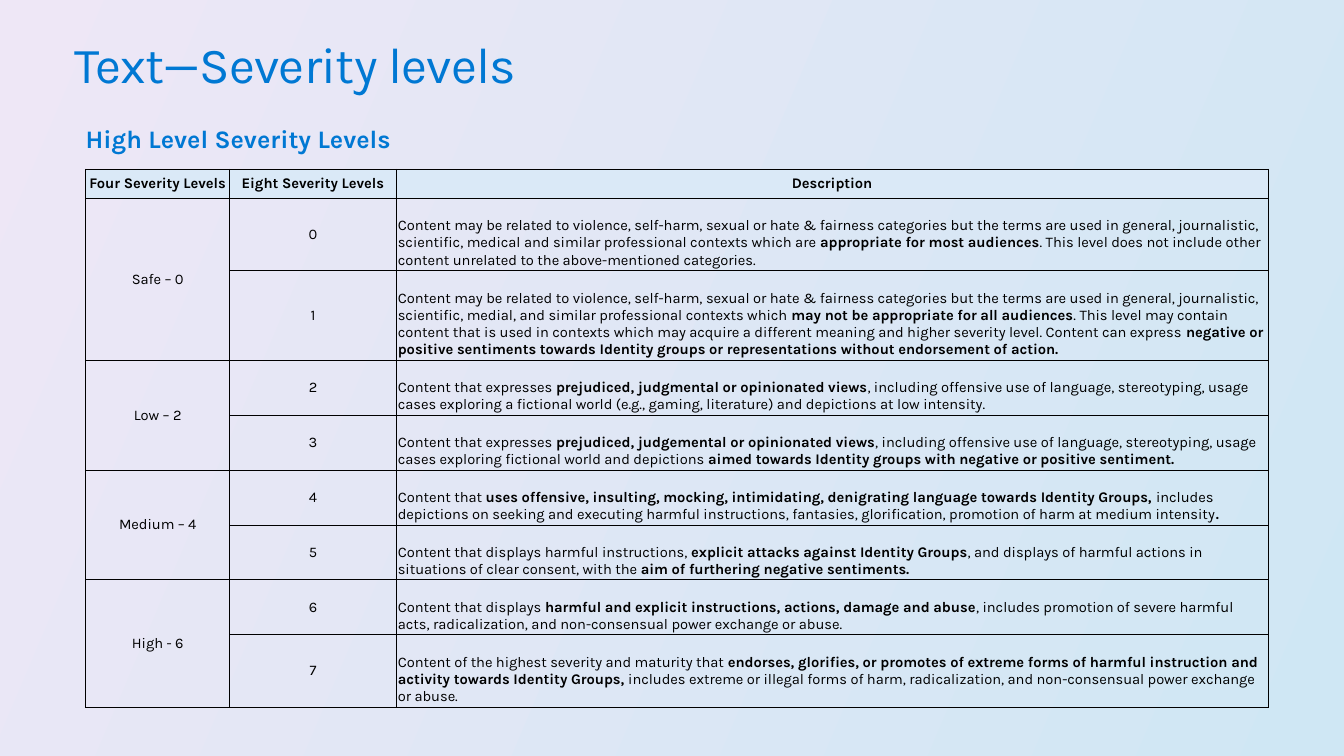
from lxml.etree import SubElement
from pptx import Presentation
from pptx.dml.color import RGBColor
from pptx.enum.text import MSO_ANCHOR, MSO_AUTO_SIZE, PP_ALIGN
from pptx.oxml.ns import qn
from pptx.util import Pt

FONT = "Karla"
COLORS = {
    "title": "0078D3",
    "text": "000000",
    "border": "000000",
    "header": "DAE9F7",
    "background_start": "EEE7F6",
    "background_end": "CFE7F4",
}
HEADERS = ["Four Severity Levels", "Eight Severity Levels", "Description"]
COLUMN_WIDTHS = [103, 118.8, 622.8]
ROW_HEIGHTS = [20.7, 51.5, 64.3] + [39.2] * 5 + [52]
DESCRIPTION_TOP = 13
BROAD_LEVELS = ["Safe – 0", "Low – 2", "Medium – 4", "High - 6"]
# Double asterisks enclose bold passages.
DESCRIPTIONS = [
    "Content may be related to violence, self-harm, sexual or hate & fairness categories "
    "but the terms are used in general, journalistic, scientific, medical and similar "
    "professional contexts which are **appropriate for most audiences**. This level does "
    "not include other content unrelated to the above-mentioned categories.",
    "Content may be related to violence, self-harm, sexual or hate & fairness categories "
    "but the terms are used in general, journalistic, scientific, medial, and similar "
    "professional contexts which **may not be appropriate for all audiences**. This level "
    "may contain content that is used in contexts which may acquire a different meaning "
    "and higher severity level. Content can express **negative or positive sentiments "
    "towards Identity groups or representations without endorsement of action.**",
    "Content that expresses **prejudiced, judgmental or opinionated views**, including "
    "offensive use of language, stereotyping, usage cases exploring a fictional world "
    "(e.g., gaming, literature) and depictions at low intensity.",
    "Content that expresses **prejudiced, judgemental or opinionated views**, including "
    "offensive use of language, stereotyping, usage cases exploring fictional world and "
    "depictions **aimed towards Identity groups with negative or positive sentiment.**",
    "Content that **uses offensive, insulting, mocking, intimidating, denigrating language "
    "towards Identity Groups,** includes depictions on seeking and executing harmful "
    "instructions, fantasies, glorification, promotion of harm at medium intensity**.**",
    "Content that displays harmful instructions, **explicit attacks against Identity "
    "Groups**, and displays of harmful actions in situations of clear consent, with the "
    "**aim of furthering negative sentiments.**",
    "Content that displays **harmful and explicit instructions, actions, damage and "
    "abuse**, includes promotion of severe harmful acts, radicalization, and "
    "non-consensual power exchange or abuse.",
    "Content of the highest severity and maturity that **endorses, glorifies, or promotes "
    "of extreme forms of harmful instruction and activity towards Identity Groups,** "
    "includes extreme or illegal forms of harm, radicalization, and non-consensual power "
    "exchange or abuse.",
]


def color(name):
    return RGBColor.from_string(COLORS[name])


def style(paragraph, size, color_name, bold=None, align=PP_ALIGN.LEFT):
    paragraph.alignment = align
    font = paragraph.font
    font.name, font.size, font.bold = FONT, Pt(size), bold
    font.color.rgb = color(color_name)


def set_margins(holder, left, top, right, bottom):
    holder.margin_left, holder.margin_top = Pt(left), Pt(top)
    holder.margin_right, holder.margin_bottom = Pt(right), Pt(bottom)


def paint_background(slide):
    fill = slide.background.fill
    fill.gradient()
    fill.gradient_angle = 337
    for stop, name in zip(fill.gradient_stops, ["background_start", "background_end"]):
        stop.color.rgb = color(name)


def add_title(slide, text):
    title = slide.shapes.title
    title.left, title.top, title.width, title.height = Pt(46), Pt(16.6), Pt(867.6), Pt(44)
    frame = title.text_frame
    frame.auto_size = MSO_AUTO_SIZE.NONE
    frame.vertical_anchor = MSO_ANCHOR.TOP
    set_margins(frame, 7.2, 7.2, 7.2, 0)
    frame.text = text
    paragraph = frame.paragraphs[0]
    paragraph.line_spacing = 1.0
    style(paragraph, 36, "title")
    paragraph.runs[0].font._element.set("spc", "-50")


def add_heading(slide, text):
    frame = slide.shapes.add_textbox(Pt(61.2), Pt(87.8), Pt(532), Pt(21.6)).text_frame
    frame.word_wrap = True
    set_margins(frame, 0, 0, 0, 0)
    frame.text = text
    style(frame.paragraphs[0], 18, "title", bold=True)


def add_borders(cell):
    properties = cell._tc.get_or_add_tcPr()
    for side in ("lnL", "lnR", "lnT", "lnB"):
        line = SubElement(properties, qn(f"a:{side}"), w=str(Pt(0.75)))
        fill = SubElement(line, qn("a:solidFill"))
        SubElement(fill, qn("a:srgbClr"), val=COLORS["border"])


def write_cell(cell, text, bold=None, align=PP_ALIGN.CENTER):
    cell.vertical_anchor = MSO_ANCHOR.MIDDLE
    paragraph = cell.text_frame.paragraphs[0]
    style(paragraph, 10.5, "text", bold, align)
    for index, passage in enumerate(text.split("**")):
        if passage:
            run = paragraph.add_run()
            run.text = passage
            if index % 2:
                run.font.bold = True


def add_severity_table(slide):
    table = slide.shapes.add_table(
        len(ROW_HEIGHTS), len(COLUMN_WIDTHS), Pt(61.2), Pt(121),
        Pt(sum(COLUMN_WIDTHS)), Pt(sum(ROW_HEIGHTS)),
    ).table
    table.first_row = table.horz_banding = False
    for column, width in zip(table.columns, COLUMN_WIDTHS):
        column.width = Pt(width)
    for row, height in zip(table.rows, ROW_HEIGHTS):
        row.height = Pt(height)
    for cell in table.iter_cells():
        set_margins(cell, 1.2, 0.7, 1.2, 0.7)
        add_borders(cell)
        cell.fill.background()

    for column, header in enumerate(HEADERS):
        cell = table.cell(0, column)
        cell.fill.solid()
        cell.fill.fore_color.rgb = color("header")
        write_cell(cell, header, bold=True)
    for index, level in enumerate(BROAD_LEVELS):
        first = 1 + 2 * index
        cell = table.cell(first, 0)
        cell.merge(table.cell(first + 1, 0))
        write_cell(cell, level)
    for level, description in enumerate(DESCRIPTIONS):
        write_cell(table.cell(level + 1, 1), str(level))
        cell = table.cell(level + 1, 2)
        cell.margin_top = Pt(DESCRIPTION_TOP)
        write_cell(cell, description, align=PP_ALIGN.LEFT)


def main():
    deck = Presentation()
    deck.slide_width, deck.slide_height = Pt(960), Pt(540)
    slide = deck.slides.add_slide(deck.slide_layouts.get_by_name("Title Only"))
    paint_background(slide)
    add_title(slide, "Text—Severity levels")
    add_heading(slide, "High Level Severity Levels")
    add_severity_table(slide)
    deck.save("out.pptx")


if __name__ == "__main__":
    main()
